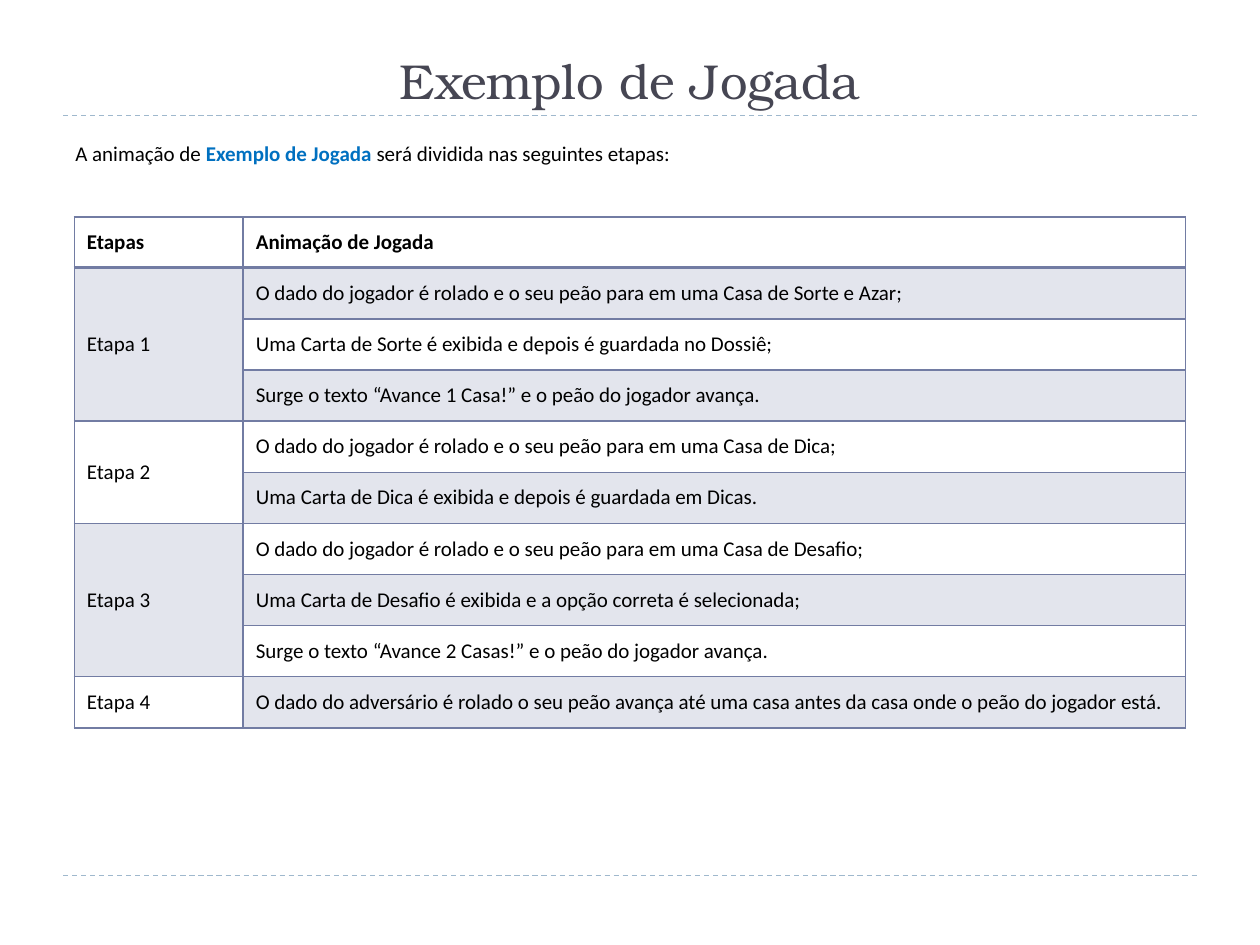
from dataclasses import dataclass

from lxml import etree
from pptx import Presentation
from pptx.dml.color import RGBColor
from pptx.enum import dml, shapes, text
from pptx.oxml import ns
from pptx.util import Pt


@dataclass(frozen=True)
class Theme:
    title_font: str = "TeX Gyre Bonum"
    body_font: str = "Calibri"
    title_size: float = 28
    body_size: float = 12
    title: str = "464653"
    body: str = "000000"
    highlight: str = "0070C0"
    rule: str = "9FB8CD"
    border: str = "727CA3"
    band: str = "E3E5ED"
    plain: str = "FFFFFF"


@dataclass(frozen=True)
class Stage:
    name: str
    steps: tuple[str, ...]


THEME = Theme()
MARGIN, CONTENT_WIDTH = 36, 648
TABLE_LEFT, TABLE_TOP, ROW_HEIGHT = 42.5, 123.9, 29.2
COLUMN_WIDTHS = (96.5, 538.5)
HEADERS = ("Etapas", "Animação de Jogada")
STAGES = (
    Stage("Etapa 1", (
        "O dado do jogador é rolado e o seu peão para em uma Casa de Sorte e Azar;",
        "Uma Carta de Sorte é exibida e depois é guardada no Dossiê;",
        "Surge o texto “Avance 1 Casa!” e o peão do jogador avança.",
    )),
    Stage("Etapa 2", (
        "O dado do jogador é rolado e o seu peão para em uma Casa de Dica;",
        "Uma Carta de Dica é exibida e depois é guardada em Dicas.",
    )),
    Stage("Etapa 3", (
        "O dado do jogador é rolado e o seu peão para em uma Casa de Desafio;",
        "Uma Carta de Desafio é exibida e a opção correta é selecionada;",
        "Surge o texto “Avance 2 Casas!” e o peão do jogador avança.",
    )),
    Stage("Etapa 4", (
        "O dado do adversário é rolado o seu peão avança até uma casa antes "
        "da casa onde o peão do jogador está.",
    )),
)


def add_run(paragraph, wording: str, color: str = THEME.body, bold: bool = False,
            font: str = THEME.body_font, size: float = THEME.body_size) -> None:
    run = paragraph.add_run()
    run.text = wording
    run.font.name = font
    run.font.size = Pt(size)
    run.font.bold = bold
    run.font.color.rgb = RGBColor.from_string(color)


def add_rule(slide, top: float) -> None:
    rule = slide.shapes.add_connector(
        shapes.MSO_CONNECTOR.STRAIGHT,
        Pt(MARGIN), Pt(top), Pt(MARGIN + CONTENT_WIDTH), Pt(top))
    rule.line.color.rgb = RGBColor.from_string(THEME.rule)
    rule.line.width = Pt(0.75)
    rule.line.dash_style = dml.MSO_LINE.DASH
    etree.SubElement(rule._element.spPr, ns.qn("a:effectLst"))


def set_title(slide, wording: str) -> None:
    title = slide.shapes.title
    title.left, title.top = Pt(MARGIN), Pt(12.2)
    title.width, title.height = Pt(CONTENT_WIDTH), Pt(54)
    frame = title.text_frame
    frame.auto_size = text.MSO_AUTO_SIZE.NONE
    frame.vertical_anchor = text.MSO_ANCHOR.BOTTOM
    paragraph = frame.paragraphs[0]
    paragraph.alignment = text.PP_ALIGN.CENTER
    add_run(paragraph, wording, THEME.title, font=THEME.title_font, size=THEME.title_size)


def add_introduction(slide) -> None:
    box = slide.shapes.add_textbox(Pt(MARGIN), Pt(77), Pt(CONTENT_WIDTH), Pt(414))
    box.text_frame.word_wrap = True
    paragraph = box.text_frame.paragraphs[0]
    paragraph.space_before = Pt(6)
    add_run(paragraph, "A animação de ")
    add_run(paragraph, "Exemplo de Jogada ", THEME.highlight, bold=True)
    add_run(paragraph, "será dividida nas seguintes etapas:")


def set_borders(cell, top: float = 1, bottom: float = 1) -> None:
    """Draw the four cell edges; borders must precede the fill in the cell XML."""
    properties = cell._tc.get_or_add_tcPr()
    widths = {"a:lnL": 1, "a:lnR": 1, "a:lnT": top, "a:lnB": bottom}
    for index, (tag, width) in enumerate(widths.items()):
        edge = etree.Element(ns.qn(tag), w=str(Pt(width)))
        fill = etree.SubElement(edge, ns.qn("a:solidFill"))
        etree.SubElement(fill, ns.qn("a:srgbClr"), val=THEME.border)
        properties.insert(index, edge)


def write_cell(cell, wording: str, bold: bool = False) -> None:
    cell.vertical_anchor = text.MSO_ANCHOR.MIDDLE
    paragraph = cell.text_frame.paragraphs[0]
    paragraph.space_before = paragraph.space_after = Pt(6)
    add_run(paragraph, wording, bold=bold)


def style_cell(cell, row: int, shaded: bool) -> None:
    cell.fill.solid()
    cell.fill.fore_color.rgb = RGBColor.from_string(THEME.band if shaded else THEME.plain)
    set_borders(cell, top=2 if row == 1 else 1, bottom=2 if row == 0 else 1)


def add_stage_table(slide, stages: tuple[Stage, ...]) -> None:
    row_count = 1 + sum(len(stage.steps) for stage in stages)
    table = slide.shapes.add_table(
        row_count, len(COLUMN_WIDTHS), Pt(TABLE_LEFT), Pt(TABLE_TOP),
        Pt(sum(COLUMN_WIDTHS)), Pt(row_count * ROW_HEIGHT)).table
    for column, width in zip(table.columns, COLUMN_WIDTHS):
        column.width = Pt(width)
    for row in table.rows:
        row.height = Pt(ROW_HEIGHT)

    for column, header in enumerate(HEADERS):
        write_cell(table.cell(0, column), header, bold=True)
        style_cell(table.cell(0, column), 0, shaded=False)

    first = 1
    for number, stage in enumerate(stages):
        last = first + len(stage.steps) - 1
        name_cell = table.cell(first, 0)
        if last > first:
            name_cell.merge(table.cell(last, 0))
        write_cell(name_cell, stage.name)
        for row, step in enumerate(stage.steps, start=first):
            style_cell(table.cell(row, 0), row, shaded=number % 2 == 0)
            write_cell(table.cell(row, 1), step)
            style_cell(table.cell(row, 1), row, shaded=row % 2 == 1)
        first = last + 1


def main() -> None:
    presentation = Presentation()
    presentation.slide_width, presentation.slide_height = Pt(720), Pt(540)
    slide = presentation.slides.add_slide(presentation.slide_layouts.get_by_name("Title Only"))
    for top in (500.4, 66.2):
        add_rule(slide, top)
    set_title(slide, "Exemplo de Jogada")
    add_introduction(slide)
    add_stage_table(slide, STAGES)
    presentation.save("out.pptx")


if __name__ == "__main__":
    main()
